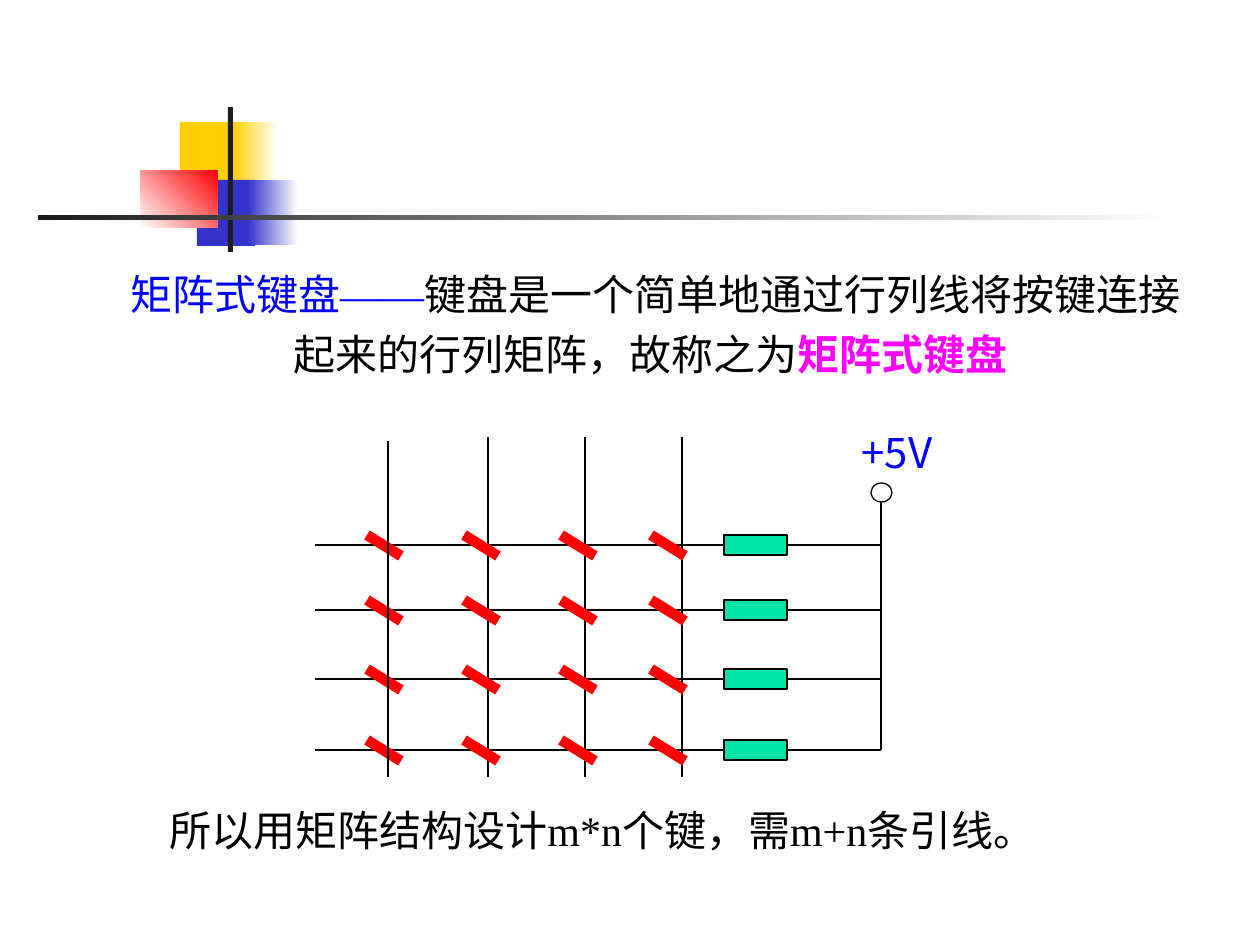
from lxml.etree import SubElement
from pptx import Presentation
from pptx.dml.color import RGBColor
from pptx.enum.shapes import MSO_CONNECTOR as Connector, MSO_SHAPE as Shape
from pptx.enum.text import MSO_AUTO_SIZE as AutoSize, PP_ALIGN as Align
from pptx.oxml.ns import qn
from pptx.util import Pt

EMU_PER_PX = 914400 / 126
SANS, SERIF = "Noto Sans CJK SC", "Times New Roman"
COLORS = {
    "white": "FFFFFF", "black": "000000", "yellow": "FFCF01", "indigo": "3333CC",
    "red": "FF0000", "bar": "1C1C1C", "blue": "0000FF", "magenta": "FF00FF",
    "resistor": "00E4A8",
}
ROWS = (545, 610, 679, 750)
SWITCH_LEFTS = (367, 464, 561, 651)


def px(*lengths):
    """Convert pixel lengths to EMU."""
    return [round(length * EMU_PER_PX) for length in lengths]


def rgb(name):
    """Look up a named colour."""
    return RGBColor.from_string(COLORS[name])


def add_block(slide, box, fill=None, kind=Shape.RECTANGLE, line_width=None):
    """Add a plain shape, outlined in black when a line width is given."""
    block = slide.shapes.add_shape(kind, *px(*box))
    block.shadow.inherit = False
    if fill:
        block.fill.solid()
        block.fill.fore_color.rgb = rgb(fill)
    else:
        block.fill.background()
    if line_width:
        block.line.color.rgb = rgb("black")
        block.line.width = Pt(line_width)
    else:
        block.line.fill.background()
    return block


def add_fade(slide, box, start, end, angle=0):
    """Add a borderless rectangle that fades from one colour to another."""
    fill = add_block(slide, box).fill
    fill.gradient()
    fill.gradient_angle = angle
    for stop, color in zip(fill.gradient_stops, (start, end)):
        stop.color.rgb = rgb(color)


def add_wire(slide, start, end, color="black", width=1):
    """Add a straight line without a shadow."""
    wire = slide.shapes.add_connector(Connector.STRAIGHT, *px(*start, *end))
    wire.line.color.rgb = rgb(color)
    wire.line.width = Pt(width)
    SubElement(wire.element.spPr, qn("a:effectLst"))


def add_text(slide, box, runs, align=Align.LEFT, spacing=None):
    """Add a 24 pt paragraph of (text, colour, Latin font, East Asian font, bold) runs."""
    label = slide.shapes.add_textbox(*px(*box)).text_frame
    label.word_wrap = True
    label.auto_size = AutoSize.SHAPE_TO_FIT_TEXT
    paragraph = label.paragraphs[0]
    paragraph.alignment = align
    paragraph.line_spacing = spacing
    paragraph.font.size = Pt(24)
    for text, color, latin, east_asian, bold in runs:
        run = paragraph.add_run()
        run.text = text
        run.font.size = Pt(24)
        run.font.name = latin
        run.font.bold = bold
        run.font.color.rgb = rgb(color)
        SubElement(run.font._element, qn("a:ea"), typeface=east_asian)


def add_ornament(slide):
    """Add the coloured squares and the crossing bars."""
    add_block(slide, (180, 122, 60, 66), "yellow")
    add_fade(slide, (233, 122, 45, 66), "yellow", "white")
    add_block(slide, (197, 180, 58, 66), "indigo")
    add_fade(slide, (248, 180, 50, 65), "indigo", "white")
    add_fade(slide, (141, 170, 77, 58), "white", "red", angle=45)
    add_block(slide, (228, 107, 5, 145), "bar")
    add_fade(slide, (38, 215, 1134, 5), "bar", "white")


def add_keypad(slide):
    """Add the key matrix with its pull-up resistors and supply."""
    for x in (488, 585, 682):
        add_wire(slide, (x, 437), (x, 777))
    add_wire(slide, (881, 502), (881, 750))
    add_block(slide, (871, 483, 21, 19), kind=Shape.OVAL, line_width=0.75)
    for y in ROWS:
        add_wire(slide, (315, y), (724, y))
        add_wire(slide, (787, y), (881, y))
        add_block(slide, (724, y - 10, 63, 20), "resistor", line_width=1)
        for x in SWITCH_LEFTS:
            add_wire(slide, (x, y - 10), (x + 34, y + 11), "red", 6)
    add_text(slide, (839, 420, 116, 63),
             [("+5V", "blue", SANS, SANS, False)], Align.CENTER)
    add_wire(slide, (388, 441), (388, 777), width=0.75)


def main():
    """Build and save the slide."""
    deck = Presentation()
    deck.slide_width, deck.slide_height = px(1260, 945)
    slide = deck.slides.add_slide(deck.slide_layouts[6])
    add_ornament(slide)
    add_text(slide, (94, 252, 1113, 134), [
        (" 矩阵式键盘", "blue", SANS, SANS, False),
        ("——", "blue", SERIF, SERIF, False),
        ("键盘是一个简单地通过行列线将按键连接起来的行列矩阵，故称之为",
         "black", SANS, SANS, False),
        ("矩阵式键盘", "magenta", SANS, SANS, True),
    ], Align.CENTER, 1.2)
    add_keypad(slide)
    add_text(slide, (157, 798, 1040, 63), [
        ("所以用矩阵结构设计m*n个键，需m+n条引线。", "black", SERIF, SANS, False),
    ])
    deck.save("out.pptx")


if __name__ == "__main__":
    main()
